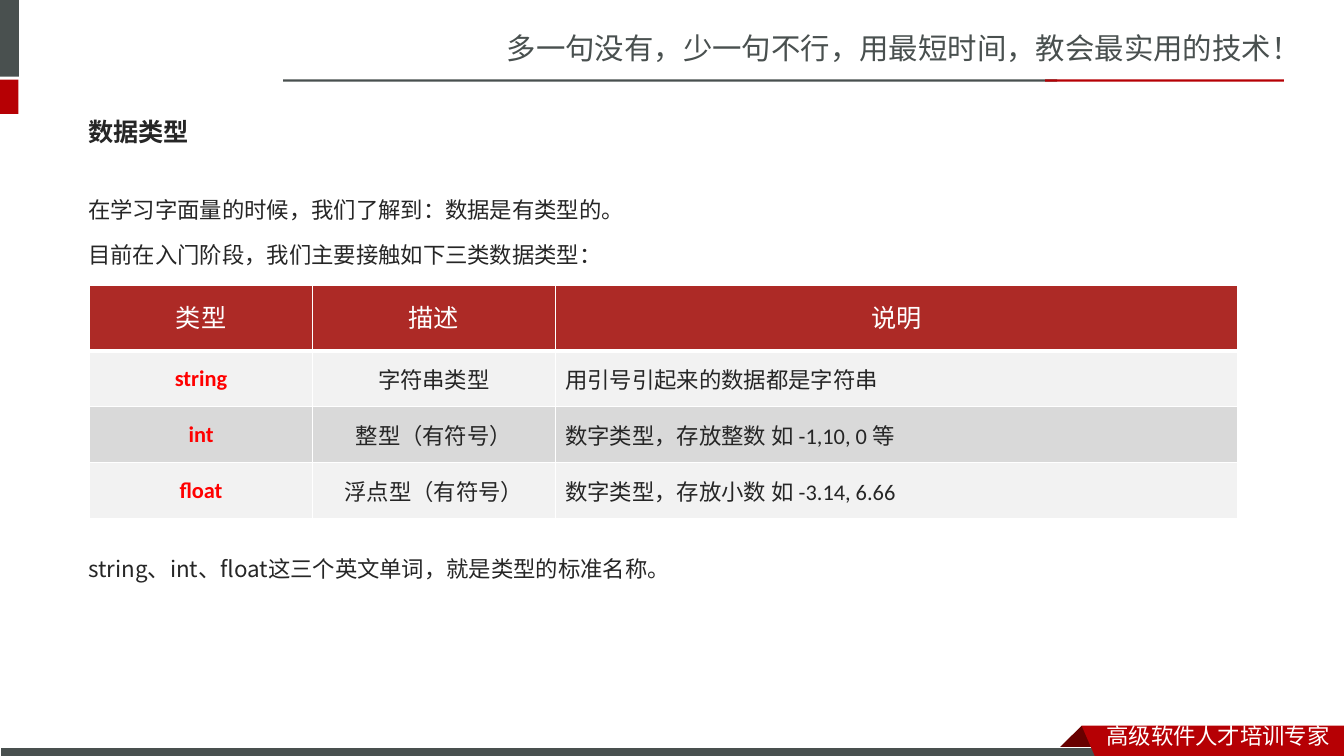
from lxml import etree
from pptx import Presentation
from pptx.dml.color import RGBColor
from pptx.enum.shapes import MSO_SHAPE as Shape
from pptx.enum.text import MSO_ANCHOR as Anchor, PP_ALIGN as Align
from pptx.oxml.ns import qn
from pptx.util import Pt

WIDTH, HEIGHT = 960, 540
GREY, RED, DARK_RED = "49504F", "B60004", "680000"
INK, WHITE, HEADER_RED, KEYWORD_RED = "262626", "FFFFFF", "AD2A26", "FF0000"
ROW_FILLS = ["F2F2F2", "D9D9D9"]
SANS_SC, SANS_JP, LATIN = "Noto Sans CJK SC", "Noto Sans CJK JP", "Calibri"

HEADERS = ["类型", "描述", "说明"]
ROWS = [
    ["string", "字符串类型", "用引号引起来的数据都是字符串"],
    ["int", "整型（有符号）", "数字类型，存放整数 如 -1,10, 0 等"],
    ["float", "浮点型（有符号）", "数字类型，存放小数 如 -3.14, 6.66"],
]


def color(value):
    return RGBColor.from_string(value)


def format_runs(paragraph, size, fill, latin, east_asian, bold=False):
    for run in paragraph.runs:
        run.font.size = Pt(size)
        run.font.bold = bold
        run.font.color.rgb = color(fill)
        run.font.name = latin
        properties = run._r.get_or_add_rPr()
        etree.SubElement(properties, qn("a:ea"), typeface=east_asian)


def paint(shape, fill, line=None):
    shape.shadow.inherit = False
    shape.fill.solid()
    shape.fill.fore_color.rgb = color(fill)
    if line:
        shape.line.color.rgb = color(line)
        shape.line.width = Pt(0.75)
    else:
        shape.line.fill.background()


def add_bar(slide, box, fill, line=None):
    paint(slide.shapes.add_shape(Shape.RECTANGLE, *map(Pt, box)), fill, line)


def add_polygon(slide, points, fill):
    start, *others = [(Pt(x), Pt(y)) for x, y in points]
    builder = slide.shapes.build_freeform(*start)
    builder.add_line_segments(others, close=True)
    paint(builder.convert_to_shape(), fill)


def add_text(slide, box, lines, size, fill, font, bold=False,
             anchor=Anchor.TOP, line_height=None):
    frame = slide.shapes.add_textbox(*map(Pt, box)).text_frame
    frame.word_wrap = True
    frame.vertical_anchor = anchor
    frame.text = "\n".join(lines)
    for index, paragraph in enumerate(frame.paragraphs):
        if line_height:
            paragraph.line_spacing = Pt(line_height)
        if index:
            paragraph.space_before = Pt(size * 0.2)
        format_runs(paragraph, size, fill, font, font, bold)


def add_header(slide, left, top, width):
    """Side tabs at the slide edge, slogan and two-colour rule."""
    add_bar(slide, (0, 0, 13.5, 54.7), GREY)
    add_bar(slide, (0, top + 38.9, 13.2, 24.5), RED)
    add_text(slide, (left + 152.6, top, width - 109.4, 36),
             ["多一句没有，少一句不行，用最短时间，教会最实用的技术！"],
             21, GREY, SANS_SC)
    add_bar(slide, (left, top + 38.7, 553, 1.6), GREY)
    add_bar(slide, (left + 544.3, top + 38.7, 170.6, 1.6), RED)


def add_footer(slide, top, ribbon_left):
    """Bottom bar with a folded ribbon that runs to the right edge."""
    fold = top + 15.8
    add_polygon(slide, [(ribbon_left, top), (ribbon_left + 16, fold),
                        (ribbon_left - 16, fold)], DARK_RED)
    add_bar(slide, (0, top + 15.2, 791, 8.6), GREY, WHITE)
    add_polygon(slide, [(ribbon_left, top), (WIDTH, top), (WIDTH, HEIGHT),
                        (ribbon_left + 9.4, HEIGHT)], RED)
    add_text(slide, (ribbon_left + 10.6, top - 6.2, WIDTH - ribbon_left - 10.6, 27),
             ["高级软件人才培训专家"], 16, WHITE, SANS_SC)


def set_borders(cell, widths):
    """White edges; widths are given as left, right, top, bottom."""
    properties = cell._tc.get_or_add_tcPr()
    for index, (side, width) in enumerate(zip("LRTB", widths)):
        edge = etree.Element(qn(f"a:ln{side}"), w=str(Pt(width)))
        fill = etree.SubElement(edge, qn("a:solidFill"))
        etree.SubElement(fill, qn("a:srgbClr"), val=WHITE)
        properties.insert(index, edge)


def add_type_table(slide, left, top, column_widths, row_heights):
    table = slide.shapes.add_table(
        len(row_heights), len(column_widths), Pt(left), Pt(top),
        Pt(sum(column_widths)), Pt(sum(row_heights))).table
    for column, width in zip(table.columns, column_widths):
        column.width = Pt(width)
    for row, height in zip(table.rows, row_heights):
        row.height = Pt(height)
    for row_index, texts in enumerate([HEADERS] + ROWS):
        is_header = row_index == 0
        for column_index, text in enumerate(texts):
            cell = table.cell(row_index, column_index)
            is_keyword = not is_header and column_index == 0
            cell.text_frame.text = text
            cell.vertical_anchor = Anchor.MIDDLE
            cell.fill.solid()
            cell.fill.fore_color.rgb = color(
                HEADER_RED if is_header else ROW_FILLS[(row_index - 1) % 2])
            set_borders(cell, (1, 1, 3 if row_index == 1 else 1, 3 if is_header else 1))
            paragraph = cell.text_frame.paragraphs[0]
            if is_header or column_index < 2:
                paragraph.alignment = Align.CENTER
            if is_header:
                paragraph.line_spacing = Pt(24)
            fill = WHITE if is_header else KEYWORD_RED if is_keyword else INK
            format_runs(paragraph, 18 if is_header else 16, fill,
                        LATIN, SANS_SC, is_keyword)


def add_body(slide, left, top, width):
    add_text(slide, (left, top, width, 41), ["数据类型"], 18, INK, SANS_JP,
             bold=True, anchor=Anchor.MIDDLE)
    add_text(slide, (left, top + 53.5, width, 70),
             ["在学习字面量的时候，我们了解到：数据是有类型的。",
              "目前在入门阶段，我们主要接触如下三类数据类型："],
             16, INK, SANS_JP, line_height=29)
    add_type_table(slide, left + 7.9, top + 130.3, [159.4, 173.3, 487.3],
                   [46.8, 40, 40, 40])
    add_text(slide, (left, top + 309.5, width, 37),
             ["string、int、float这三个英文单词，就是类型的标准名称。"],
             16, INK, SANS_JP, line_height=29)


def main():
    presentation = Presentation()
    presentation.slide_width, presentation.slide_height = Pt(WIDTH), Pt(HEIGHT)
    slide = presentation.slides.add_slide(presentation.slide_layouts[6])
    add_header(slide, 202.2, 18, 714.8)
    add_footer(slide, 518.4, 772.6)
    add_body(slide, 56, 73.5, 842)
    presentation.save("out.pptx")


if __name__ == "__main__":
    main()
